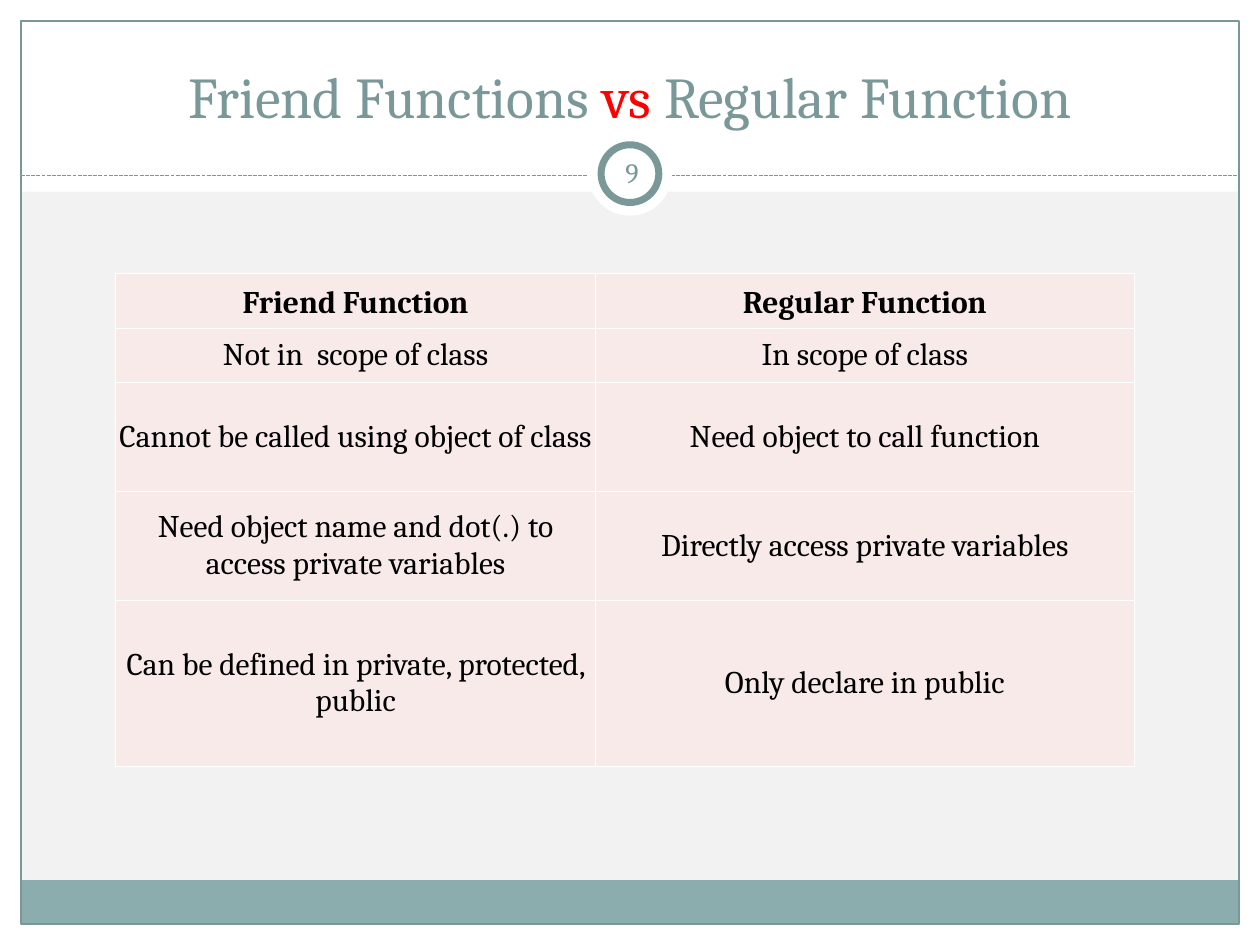
from lxml import etree
from pptx import Presentation
from pptx.dml.color import RGBColor
from pptx.enum.dml import MSO_LINE
from pptx.enum.shapes import MSO_CONNECTOR, MSO_SHAPE
from pptx.enum.text import MSO_ANCHOR, MSO_AUTO_SIZE, PP_ALIGN
from pptx.oxml.ns import qn
from pptx.util import Pt

RECTANGLE = MSO_SHAPE.RECTANGLE
OVAL = MSO_SHAPE.OVAL
STRAIGHT = MSO_CONNECTOR.STRAIGHT
DASH = MSO_LINE.SQUARE_DOT
CENTER = PP_ALIGN.CENTER
MIDDLE = MSO_ANCHOR.MIDDLE
BOTTOM = MSO_ANCHOR.BOTTOM
NO_AUTOFIT = MSO_AUTO_SIZE.NONE

WHITE = RGBColor(0xFF, 0xFF, 0xFF)
BLACK = RGBColor(0x00, 0x00, 0x00)
RED = RGBColor(0xFF, 0x00, 0x00)
GRAY = RGBColor(0xF2, 0xF2, 0xF2)
SLATE = RGBColor(0x7B, 0x98, 0x99)
TEAL = RGBColor(0x8C, 0xAD, 0xAE)
PINK = RGBColor(0xF7, 0xEA, 0xE9)

WIDTH, HEIGHT = 720, 540
MARGIN = 12
COLUMN_WIDTHS = [274.5, 307.5]
ROW_HEIGHTS = [31.5, 31.25, 62.25, 62, 95]
COMPARISON = [
    ("Friend Function", "Regular Function"),
    ("Not in  scope of class", "In scope of class"),
    ("Cannot be called using object of class", "Need object to call function"),
    ("Need object name and dot(.) to access private variables", "Directly access private variables"),
    ("Can be defined in private, protected, public", "Only declare in public"),
]


class SlideBuilder:
    font_name = "Cambria"

    def __init__(self, slide):
        self.slide = slide

    def background(self, color):
        fill = self.slide.background.fill
        fill.solid()
        fill.fore_color.rgb = color

    def shape(self, kind, box, fill=None, line=None, weight=0.75):
        shape = self.slide.shapes.add_shape(kind, *map(Pt, box))
        shape.shadow.inherit = False
        if fill is None:
            shape.fill.background()
        else:
            shape.fill.solid()
            shape.fill.fore_color.rgb = fill
        if line is None:
            shape.line.fill.background()
        else:
            shape.line.color.rgb = line
            shape.line.width = Pt(weight)

    def dashed_line(self, left, right, y):
        connector = self.slide.shapes.add_connector(STRAIGHT, Pt(left), Pt(y), Pt(right), Pt(y))
        connector.line.color.rgb = SLATE
        connector.line.width = Pt(0.75)
        connector.line.dash_style = DASH
        etree.SubElement(connector.element.spPr, qn("a:effectLst"))

    def add_runs(self, text_frame, runs, size, bold=False):
        paragraph = text_frame.paragraphs[0]
        paragraph.alignment = CENTER
        for text, color in runs:
            run = paragraph.add_run()
            run.text = text
            run.font.name = self.font_name
            run.font.size = Pt(size)
            run.font.bold = bold
            run.font.color.rgb = color

    def title(self, box, runs, size):
        title = self.slide.shapes.title
        title.left, title.top, title.width, title.height = map(Pt, box)
        title.element.getparent().append(title.element)
        title.text_frame.auto_size = NO_AUTOFIT
        title.text_frame.vertical_anchor = BOTTOM
        self.add_runs(title.text_frame, runs, size)

    def text(self, box, text, size, color, inset):
        frame = self.slide.shapes.add_textbox(*map(Pt, box)).text_frame
        frame.word_wrap = True
        frame.vertical_anchor = MIDDLE
        frame.margin_left = frame.margin_right = Pt(inset)
        frame.margin_top = frame.margin_bottom = Pt(inset)
        self.add_runs(frame, [(text, color)], size)

    def cell_borders(self, cell, color, weight):
        properties = cell._tc.get_or_add_tcPr()
        for index, side in enumerate(("a:lnL", "a:lnR", "a:lnT", "a:lnB")):
            border = etree.Element(qn(side), w=str(Pt(weight)))
            fill = etree.SubElement(border, qn("a:solidFill"))
            etree.SubElement(fill, qn("a:srgbClr"), val=str(color))
            properties.insert(index, border)

    def table(self, left, top, widths, heights, rows, size):
        table = self.slide.shapes.add_table(
            len(rows), len(widths), Pt(left), Pt(top), Pt(sum(widths)), Pt(sum(heights))
        ).table
        table.horz_banding = False
        for column, width in zip(table.columns, widths):
            column.width = Pt(width)
        for row_index, (texts, height) in enumerate(zip(rows, heights)):
            header = row_index == 0
            table.rows[row_index].height = Pt(height)
            for column_index, text in enumerate(texts):
                cell = table.cell(row_index, column_index)
                cell.fill.solid()
                cell.fill.fore_color.rgb = PINK
                cell.margin_left = cell.margin_right = Pt(0.75)
                cell.margin_top = cell.margin_bottom = Pt(3.6)
                cell.vertical_anchor = BOTTOM if header else MIDDLE
                self.cell_borders(cell, WHITE, 0.45)
                self.add_runs(cell.text_frame, [(text, BLACK)], size, bold=header)


def main():
    presentation = Presentation()
    presentation.slide_width = Pt(WIDTH)
    presentation.slide_height = Pt(HEIGHT)
    builder = SlideBuilder(presentation.slides.add_slide(presentation.slide_layouts[5]))
    inner_width = WIDTH - 2 * MARGIN
    inner_height = HEIGHT - 2 * MARGIN

    builder.background(GRAY)
    for box in (
        (0, HEIGHT - MARGIN, WIDTH, MARGIN),
        (0, 0, WIDTH, 109.5),
        (0, 0, MARGIN, HEIGHT),
        (WIDTH - MARGIN, 0, MARGIN, HEIGHT),
    ):
        builder.shape(RECTANGLE, box, fill=WHITE)
    builder.shape(RECTANGLE, (MARGIN, 503, inner_width, 25), fill=TEAL)
    builder.shape(RECTANGLE, (MARGIN, MARGIN, inner_width, inner_height), line=SLATE)
    builder.dashed_line(MARGIN, WIDTH - MARGIN, 100.5)
    builder.shape(OVAL, (336, 75.25, 48, 48), fill=WHITE)
    builder.shape(OVAL, (343.5, 82.75, 33, 33), fill=WHITE, line=SLATE, weight=4)

    builder.title(
        (24, 18, 672, 60),
        [("Friend Functions ", SLATE), ("vs", RED), (" Regular Function", SLATE)],
        33,
    )
    builder.text((343.25, 81, 36, 34.5), "9", 16, SLATE, inset=3.6)
    builder.table(66, 156, COLUMN_WIDTHS, ROW_HEIGHTS, COMPARISON, 18)
    presentation.save("out.pptx")


if __name__ == "__main__":
    main()
